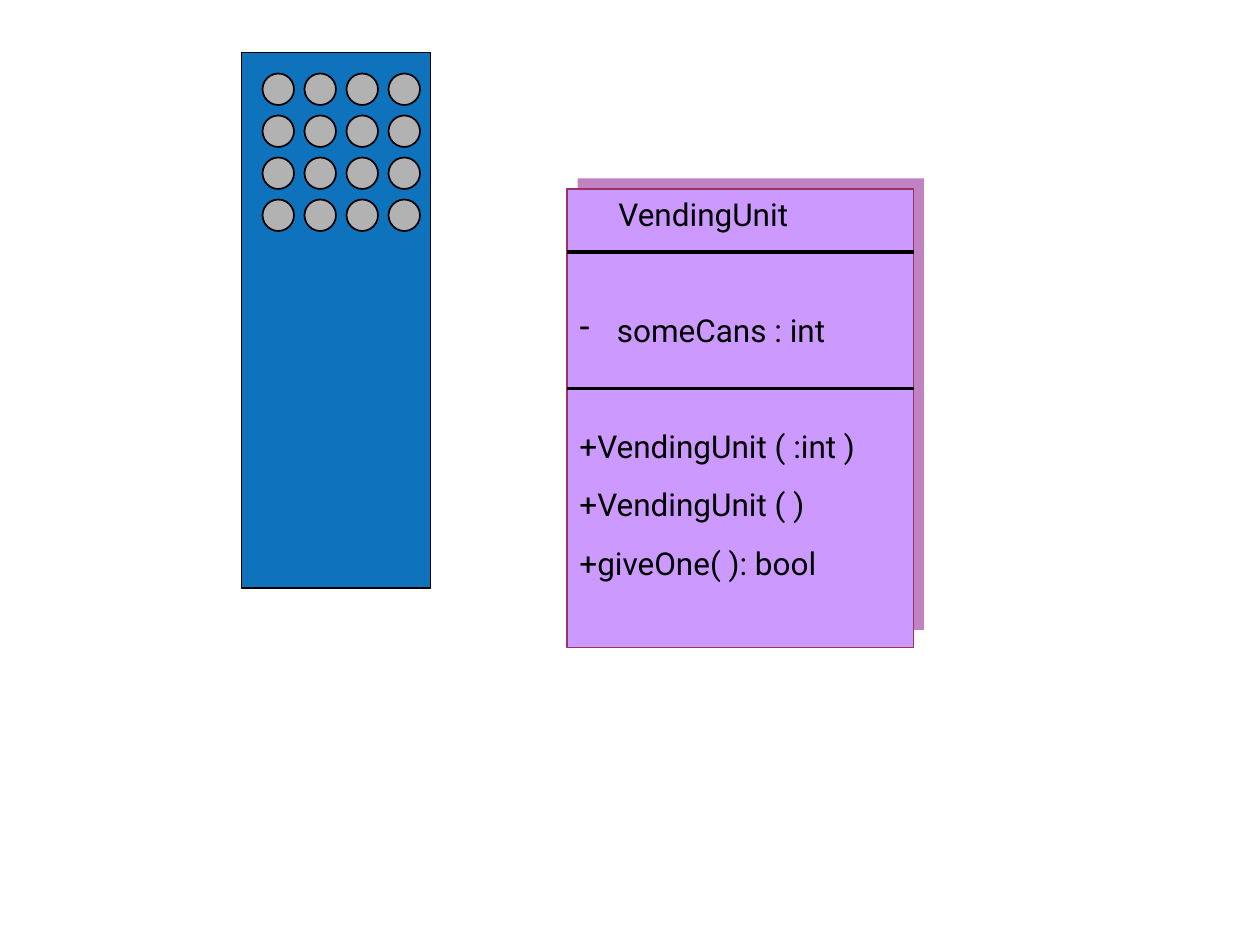
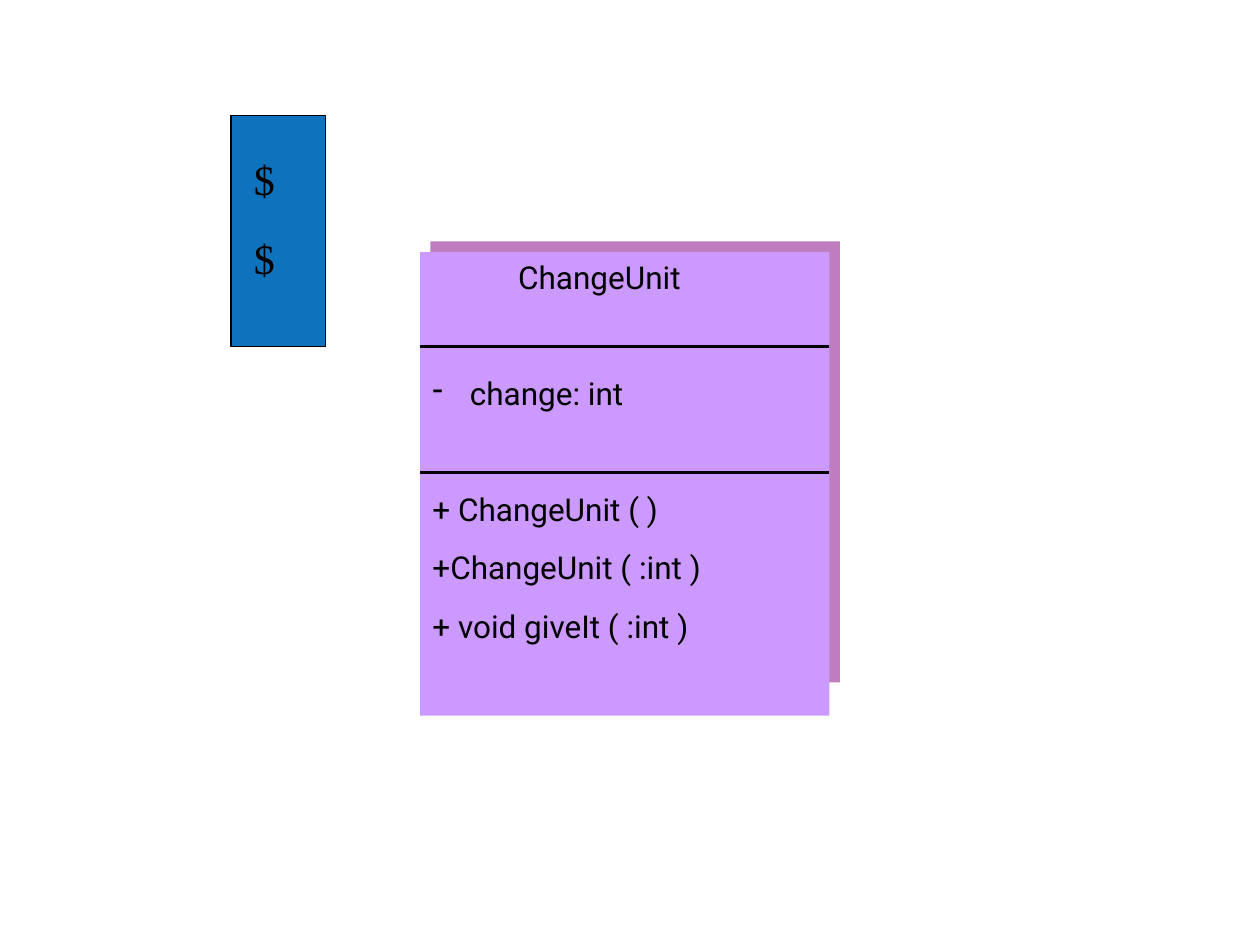
from dataclasses import dataclass
from itertools import product

from lxml.etree import SubElement
from pptx import Presentation
from pptx.dml.color import RGBColor
from pptx.enum.shapes import MSO_CONNECTOR as Connector, MSO_SHAPE as Shape
from pptx.enum.text import MSO_ANCHOR as Anchor, PP_ALIGN as Align
from pptx.oxml.ns import qn
from pptx.util import Pt


@dataclass(frozen=True)
class Theme:
    ink: str = "000000"
    machine: str = "0F72BD"
    can: str = "B2B2B2"
    card: str = "CC99FF"
    card_edge: str = "993366"
    card_shade: str = "800080"
    font: str = "Roboto"
    coin_font: str = "Times New Roman"
    body: float = 18
    coin: float = 24
    line_gap: float = 11.75
    section_gap: float = 44.6
    coin_gap: float = 16.3
    bullet_indent: float = 21.4
    shade_offset: float = 6


def write(frame, text, first=False, font=None, size=18, color="000000",
          before=0, indent=0, bullet=None):
    """Write one paragraph; a bullet hangs to the left of the indent."""
    paragraph = frame.paragraphs[0] if first else frame.add_paragraph()
    paragraph.alignment = Align.LEFT
    paragraph.space_before = Pt(0 if first else before)
    properties = paragraph._p.get_or_add_pPr()
    properties.set("marL", str(Pt(indent)))
    if bullet:
        properties.set("indent", str(-Pt(indent)))
        SubElement(properties, qn("a:buChar")).set("char", bullet)
    run = paragraph.add_run()
    run.text = text
    run.font.name = font
    run.font.size = Pt(size)
    run.font.color.rgb = RGBColor.from_string(color)


class Deck:
    def __init__(self, theme):
        self.theme = theme
        self.presentation = Presentation()
        self.presentation.slide_width = Pt(720)
        self.presentation.slide_height = Pt(540)
        self.slide = None

    def new_slide(self):
        self.slide = self.presentation.slides.add_slide(self.presentation.slide_layouts[6])

    def shape(self, kind, left, top, width, height, fill, edge=None, opacity=None):
        shape = self.slide.shapes.add_shape(kind, Pt(left), Pt(top), Pt(width), Pt(height))
        shape.shadow.inherit = False
        shape.fill.solid()
        shape.fill.fore_color.rgb = RGBColor.from_string(fill)
        if opacity is not None:
            color = shape.fill._xPr.find(".//" + qn("a:srgbClr"))
            SubElement(color, qn("a:alpha")).set("val", str(opacity * 1000))
        if edge:
            shape.line.color.rgb = RGBColor.from_string(edge)
            shape.line.width = Pt(1)
        else:
            shape.line.fill.background()
        return shape

    def machine(self, left, top, width, height):
        self.shape(Shape.RECTANGLE, left, top, width, height, self.theme.machine, self.theme.ink)

    def cans(self, left, top, size=18, pitch=24, count=4):
        for row, column in product(range(count), repeat=2):
            self.shape(Shape.OVAL, left + column * pitch, top + row * pitch, size, size,
                       self.theme.can, self.theme.ink)

    def coins(self, left, top, width, height, signs):
        frame = self.slide.shapes.add_textbox(Pt(left), Pt(top), Pt(width), Pt(height)).text_frame
        frame.word_wrap = True
        for index, sign in enumerate(signs):
            write(frame, sign, first=index == 0, font=self.theme.coin_font,
                  size=self.theme.coin, color=self.theme.ink, before=self.theme.coin_gap)

    def divider(self, left, right, y):
        line = self.slide.shapes.add_connector(Connector.STRAIGHT, Pt(left), Pt(y), Pt(right), Pt(y))
        line.line.color.rgb = RGBColor.from_string(self.theme.ink)
        line.line.width = Pt(2)
        SubElement(line._element.spPr, qn("a:effectLst"))

    def card_shade(self, left, top, width, height, opacity):
        offset = self.theme.shade_offset
        self.shape(Shape.RECTANGLE, left + offset, top - offset, width, height,
                   self.theme.card_shade, opacity=opacity)

    def class_card(self, left, top, width, height, name, name_indent, attribute,
                   methods, dividers, edge=None):
        theme = self.theme
        card = self.shape(Shape.RECTANGLE, left, top, width, height, theme.card, edge)
        frame = card.text_frame
        frame.word_wrap = True
        frame.vertical_anchor = Anchor.TOP
        style = dict(font=theme.font, size=theme.body, color=theme.ink)
        write(frame, name, first=True, indent=name_indent, **style)
        write(frame, attribute, before=theme.section_gap, indent=theme.bullet_indent,
              bullet="-", **style)
        for index, method in enumerate(methods):
            gap = theme.line_gap if index else theme.section_gap
            write(frame, method, before=gap, **style)
        for y in dividers:
            self.divider(left, left + width, y)


def vending_slide(deck):
    deck.new_slide()
    deck.card_shade(324, 108, 198, 258, opacity=49)
    deck.machine(138, 30, 108, 306)
    deck.cans(150, 42)
    deck.class_card(324, 108, 198, 262, "VendingUnit", 22.3, "someCans : int",
                    ["+VendingUnit ( :int )", "+VendingUnit ( )", "+giveOne( ): bool"],
                    dividers=(144, 222), edge=deck.theme.card_edge)


def change_slide(deck):
    deck.new_slide()
    deck.card_shade(240, 144, 234, 252, opacity=51)
    deck.machine(132, 66, 54, 132)
    deck.class_card(240, 144, 234, 265, "ChangeUnit", 49, "change: int",
                    ["+ ChangeUnit ( )", "+ChangeUnit ( :int )", "+ void giveIt ( :int )"],
                    dividers=(198, 270))
    deck.coins(138, 84, 36, 80, "$$")


def main():
    deck = Deck(Theme())
    vending_slide(deck)
    change_slide(deck)
    deck.presentation.save("out.pptx")


if __name__ == "__main__":
    main()
